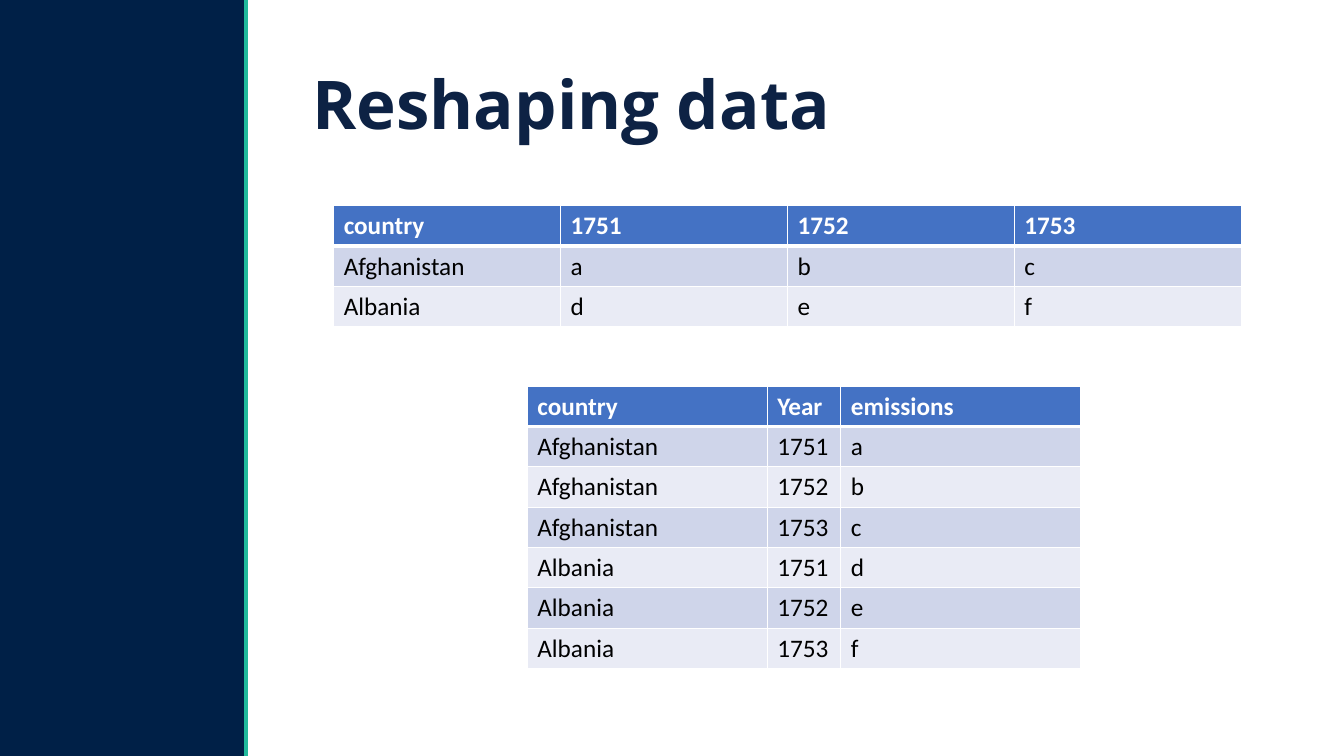
from lxml.etree import SubElement as Sub
from pptx import Presentation
from pptx.dml.color import RGBColor
from pptx.enum.shapes import MSO_CONNECTOR as Link, MSO_SHAPE as Shape
from pptx.enum.text import MSO_ANCHOR as Anchor
from pptx.oxml.ns import qn
from pptx.util import Inches, Pt

TITLE = "Reshaping data"
YEARS = ["1751", "1752", "1753"]
DATA = {"Afghanistan": "abc", "Albania": "def"}

WIDE = [["country", *YEARS]] + [[name, *vals] for name, vals in DATA.items()]
LONG = [["country", "Year", "emissions"]] + [
    [name, year, val]
    for name, vals in DATA.items()
    for year, val in zip(YEARS, vals)
]
# rows, left, top, column widths (inches)
TABLES = [
    (WIDE, 3.31, 2.04, [2.25] * 4),
    (LONG, 5.23, 3.83, [2.38, 0.73, 2.38]),
]

WIDTH, HEIGHT = 13.33, 7.5
SIDE = 2.44
ROW = 0.4
NAVY, GREEN, WHITE, INK, BLACK = "002047", "21BA9C", "FFFFFF", "0D2244", "000000"
HEAD, BANDS = "4472C4", ["E9EBF5", "CFD5EA"]


def color(fmt, code):
    """Set a fill to a solid colour, or a font or line to that colour."""
    if hasattr(fmt, "solid"):
        fmt.solid()
        fmt.fore_color.rgb = RGBColor.from_string(code)
    else:
        fmt.color.rgb = RGBColor.from_string(code)


def style(para, face, size, code, bold):
    font = para.font
    font.name, font.size, font.bold = face, Pt(size), bold
    color(font, code)


def border(cell, row):
    """Draw white cell edges, thick between header and body."""
    props = cell._tc.get_or_add_tcPr()
    thick = {(0, "B"), (1, "T")}
    for edge in "LRTB":
        width = Pt(3 if (row, edge) in thick else 1)
        line = Sub(props, qn(f"a:ln{edge}"), w=str(width))
        Sub(Sub(line, qn("a:solidFill")), qn("a:srgbClr"), val=WHITE)


def add_grid(slide, rows, left, top, widths):
    table = slide.shapes.add_table(
        len(rows), len(widths), Inches(left), Inches(top),
        Inches(sum(widths)), Inches(ROW * len(rows)),
    ).table
    for col, width in zip(table.columns, widths):
        col.width = Inches(width)
    for r, row in enumerate(rows):
        for c, text in enumerate(row):
            cell = table.cell(r, c)
            cell.text = text
            border(cell, r)
            color(cell.fill, BANDS[r % 2] if r else HEAD)
            style(cell.text_frame.paragraphs[0], "Calibri", 18,
                  BLACK if r else WHITE, r == 0)


def add_frame(slide):
    color(slide.background.fill, NAVY)
    panel = slide.shapes.add_shape(
        Shape.RECTANGLE, Inches(SIDE), 0, Inches(WIDTH - SIDE), Inches(HEIGHT))
    panel.shadow.inherit = False
    color(panel.fill, WHITE)
    panel.line.fill.background()
    rule = slide.shapes.add_connector(
        Link.STRAIGHT, Inches(SIDE), 0, Inches(SIDE), Inches(HEIGHT))
    color(rule.line, GREEN)
    rule.line.width = Pt(3)
    Sub(rule._element.spPr, qn("a:effectLst"))


def add_title(slide):
    frame = slide.shapes.add_textbox(
        Inches(3), Inches(0.34), Inches(9.95), Inches(1.45)).text_frame
    frame.word_wrap = True
    frame.vertical_anchor = Anchor.MIDDLE
    para = frame.paragraphs[0]
    para.text = TITLE
    para.line_spacing = 0.9
    style(para, "Open Sans", 48, INK, True)


def main():
    deck = Presentation()
    deck.slide_width, deck.slide_height = Inches(WIDTH), Inches(HEIGHT)
    slide = deck.slides.add_slide(deck.slide_layouts[6])
    add_frame(slide)
    add_title(slide)
    for spec in TABLES:
        add_grid(slide, *spec)
    deck.save("out.pptx")


if __name__ == "__main__":
    main()
